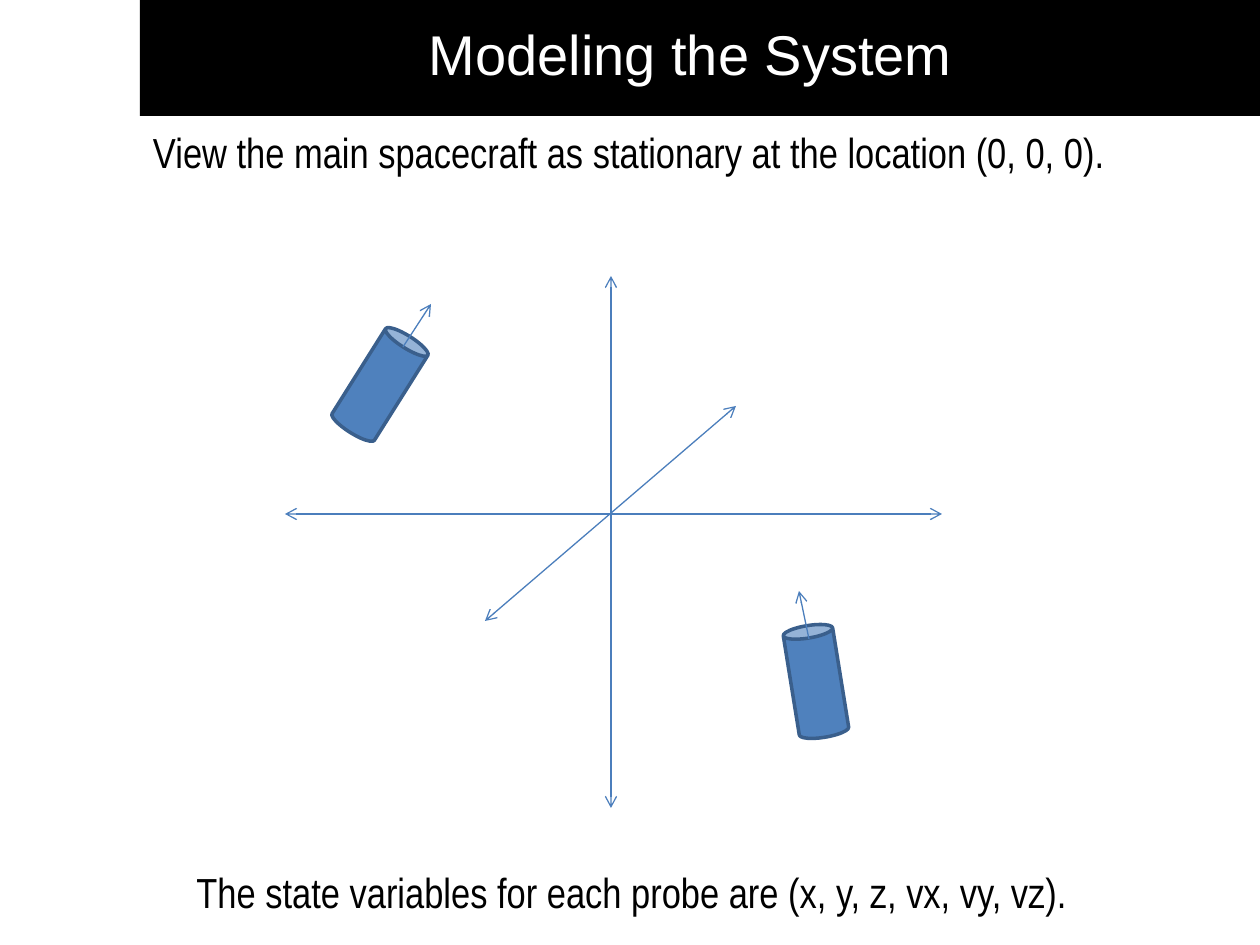
from dataclasses import dataclass

import pptx
import pptx.dml.color
import pptx.enum.shapes
import pptx.enum.text
import pptx.oxml
import pptx.oxml.ns
import pptx.util

SCALE = 914400 / 126  # EMU per px
COLORS = {"band": "000000", "title": "FFFFFF", "text": "000000",
          "axis": "4B7EBC", "probe": "4F81BD", "edge": "3A5F8C"}
SHAPE = pptx.enum.shapes.MSO_SHAPE
NO_MARGIN_CHANGE = {
    "word_wrap": True,
    "auto_size": pptx.enum.text.MSO_AUTO_SIZE.NONE,
    "vertical_anchor": pptx.enum.text.MSO_ANCHOR.TOP,
}


@dataclass
class Label:
    text: str
    box: tuple[int, int, int, int]
    font: str
    size: int
    color: str


@dataclass
class Arrow:
    start: tuple[int, int]
    end: tuple[int, int]
    both: bool


@dataclass
class Probe:
    left: int
    top: int
    rotation: float


TITLE = Label("Modeling the System", (121, 13, 1139, 81), "Arial", 32, "title")
CAPTIONS = [
    Label("View the main spacecraft as stationary at the location (0, 0, 0).",
          (0, 120, 1257, 63), "Arial Narrow", 24, "text"),
    Label("The state variables for each probe are (x, y, z, vx, vy, vz).",
          (3, 860, 1257, 63), "Arial Narrow", 24, "text"),
]
AXES = [
    Arrow((285, 514), (942, 514), True),
    Arrow((611, 276), (611, 808), True),
    Arrow((736, 406), (485, 621), True),
]
PROBE_SIZE = (50, 113)
PROBES = [Probe(791, 625, 350.8), Probe(355, 328, 32.2)]
HEADINGS = [
    Arrow((403, 347), (431, 304), False),
    Arrow((809, 639), (799, 591), False),
]


def emu(*lengths: int) -> list[int]:
    return [pptx.util.Emu(round(n * SCALE)) for n in lengths]


def rgb(name: str) -> pptx.dml.color.RGBColor:
    return pptx.dml.color.RGBColor.from_string(COLORS[name])


def set_all(target, values: dict) -> None:
    for name, value in values.items():
        setattr(target, name, value)


def write(sp, label: Label) -> None:
    tf = sp.text_frame
    set_all(tf, NO_MARGIN_CHANGE)
    p = tf.paragraphs[0]
    p.alignment = pptx.enum.text.PP_ALIGN.CENTER
    r = p.add_run()
    r.text = label.text
    set_all(r.font, {"name": label.font, "size": pptx.util.Pt(label.size)})
    r.font.color.rgb = rgb(label.color)


def add_solid(s, kind, box: tuple[int, int, int, int], color: str):
    sp = s.shapes.add_shape(kind, *emu(*box))
    sp.shadow.inherit = False
    sp.fill.solid()
    sp.fill.fore_color.rgb = rgb(color)
    sp.line.fill.background()
    return sp


def add_probe(s, probe: Probe) -> None:
    sp = add_solid(s, SHAPE.CAN, (probe.left, probe.top, *PROBE_SIZE), "probe")
    sp.rotation = probe.rotation
    sp.line.color.rgb = rgb("edge")
    sp.line.width = pptx.util.Pt(2)


def add_arrow(s, arrow: Arrow) -> None:
    line = s.shapes.add_connector(pptx.enum.shapes.MSO_CONNECTOR.STRAIGHT,
                                  *emu(*arrow.start, *arrow.end))
    line.line.color.rgb = rgb("axis")
    line.line.width = pptx.util.Pt(0.75)
    props = line.element.spPr
    ln = props.find(pptx.oxml.ns.qn("a:ln"))
    for tag in ("headEnd", "tailEnd") if arrow.both else ("tailEnd",):
        ln.append(pptx.oxml.parse_xml(
            f'<a:{tag} {pptx.oxml.ns.nsdecls("a")} type="arrow"/>'))
    props.append(pptx.oxml.parse_xml(
        f'<a:effectLst {pptx.oxml.ns.nsdecls("a")}/>'))


def main() -> None:
    prs = pptx.Presentation()
    prs.slide_width, prs.slide_height = emu(1260, 945)
    s = prs.slides.add_slide(prs.slide_layouts[5])

    # Title on its black band
    title = s.shapes.title
    set_all(title, dict(zip(("left", "top", "width", "height"), emu(*TITLE.box))))
    write(title, TITLE)
    band = add_solid(s, SHAPE.RECTANGLE, (140, 0, 1120, 116), "band")
    title.element.addprevious(band.element)

    # Captions above and below the diagram
    for caption in CAPTIONS:
        write(s.shapes.add_textbox(*emu(*caption.box)), caption)

    # Axes, probes and their headings
    for axis in AXES:
        add_arrow(s, axis)
    for probe in PROBES:
        add_probe(s, probe)
    for heading in HEADINGS:
        add_arrow(s, heading)

    prs.save("out.pptx")


if __name__ == "__main__":
    main()
